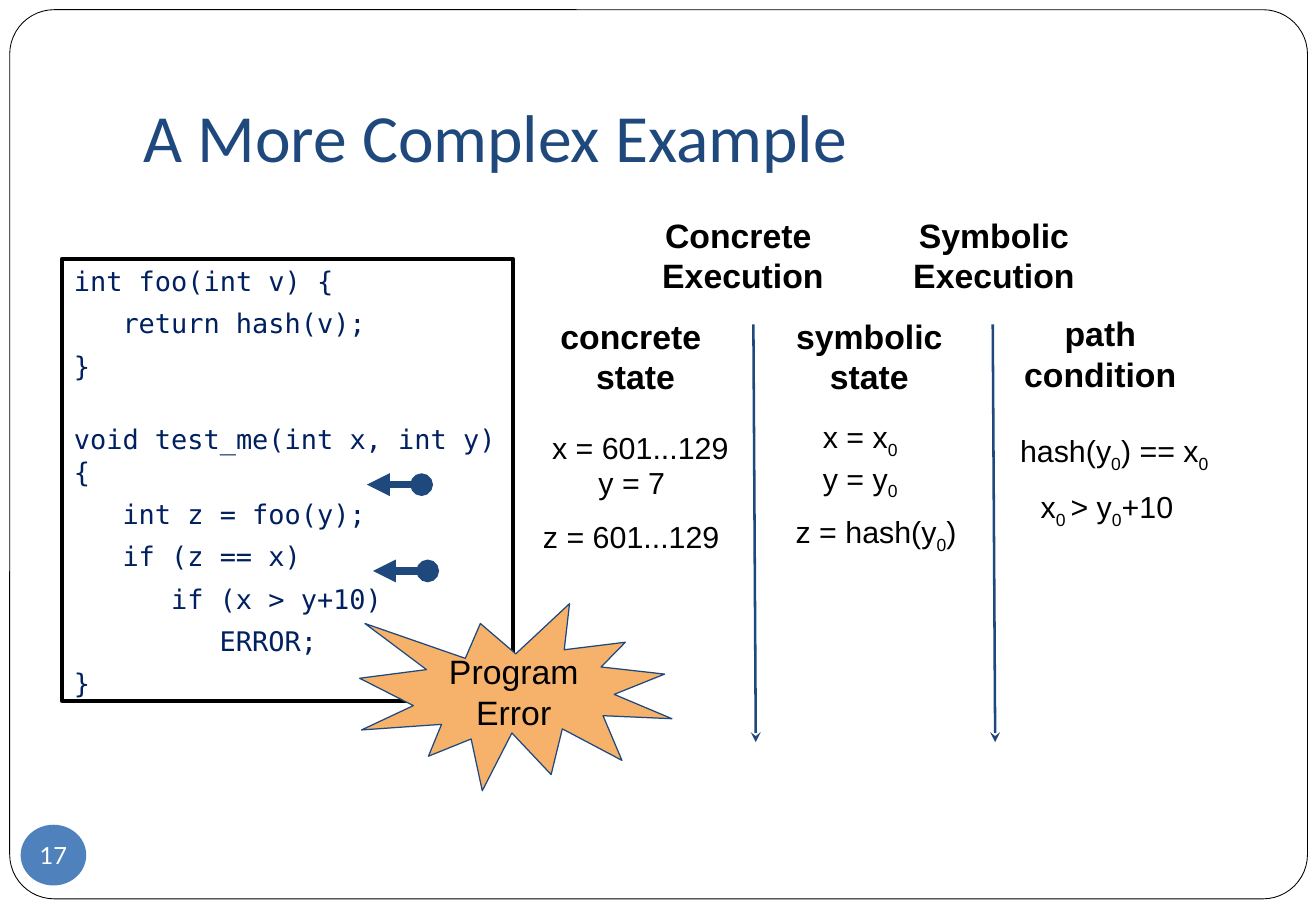
from dataclasses import dataclass

import pptx
import pptx.dml.color
import pptx.enum.shapes
import pptx.enum.text
import pptx.oxml
import pptx.oxml.ns
import pptx.util

ALIGN = pptx.enum.text.PP_ALIGN
ANCHOR = pptx.enum.text.MSO_ANCHOR
SHAPE = pptx.enum.shapes.MSO_SHAPE
CELL = pptx.util.Inches(0.1)  # one grid column or row
COLS, ROWS = 108.3, 75


@dataclass(frozen=True)
class Theme:
    navy: str = "1F497D"
    code: str = "002060"
    black: str = "000000"
    white: str = "FFFFFF"
    orange: str = "F6B26B"
    blue: str = "4F81BD"
    body_font: str = "Arial"
    title_font: str = "Calibri"
    code_font: str = "DejaVu Sans Mono"
    number_font: str = "Lato"
    title_size: float = 40
    heading_size: float = 20
    formula_size: float = 18
    code_size: float = 16
    number_size: float = 14


T = Theme()


@dataclass(frozen=True)
class Box:
    col: float
    row: float
    cols: float
    rows: float


@dataclass(frozen=True)
class Style:
    size: float
    font: str = T.body_font
    color: str = T.black
    bold: bool = False


@dataclass(frozen=True)
class Label:
    box: Box
    lines: tuple[str, ...]  # text between underscores is subscript
    anchor: ANCHOR = ANCHOR.TOP
    align: ALIGN = ALIGN.CENTER


@dataclass(frozen=True)
class Arrow:
    start: tuple[float, float]
    end: tuple[float, float]
    width: float
    tail: str
    head: str = "none"


@dataclass(frozen=True)
class CodeLine:
    text: str
    level: int = 0
    before: float = 5.9


TITLE = Style(T.title_size, T.title_font, T.navy)
HEADING = Style(T.heading_size, bold=True)
FORMULA = Style(T.formula_size)
CODE = Style(T.code_size, T.code_font, T.code)
BURST = Style(T.heading_size)
NUMBER = Style(T.number_size, T.number_font, T.white)

HEADINGS = (
    Label(Box(50.8, 17.6, 20.7, 6.8), ("Concrete ", "Execution"), ANCHOR.MIDDLE),
    Label(Box(71.9, 17.6, 19.8, 6.8), ("Symbolic", "Execution"), ANCHOR.MIDDLE),
    Label(Box(42.9, 25.9, 18.8, 6.8), ("concrete ", "state"), ANCHOR.MIDDLE),
    Label(Box(61.2, 25.9, 20.7, 6.8), ("symbolic", "state"), ANCHOR.MIDDLE),
    Label(Box(83.3, 25.7, 14.5, 6.8), ("path", "condition"), ANCHOR.MIDDLE),
)
FORMULAS = (
    Label(Box(43.7, 34.3, 18, 3.7), ("x = 601...129",)),
    Label(Box(43, 37.2, 18, 3.7), ("y = 7",)),
    Label(Box(43.7, 41.7, 18.2, 3.7), ("z = 601...129",), align=ALIGN.LEFT),
    Label(Box(62.6, 33.5, 16.4, 8.7), ("x = x_0_", "y = y_0_"), ANCHOR.MIDDLE),
    Label(Box(61.3, 41.8, 21.6, 4.3), ("z = hash(y_0_)",), ANCHOR.MIDDLE),
    Label(Box(82, 34.6, 19.4, 7), ("hash(y_0_) == x_0_",)),
    Label(Box(83.3, 39.2, 15.6, 5.3), ("x_0 _> y_0_+10",)),
)
DIVIDERS = tuple(Arrow((c, 26.7), (c + 0.2, 61.1), 1.5, "stealth") for c in (62, 81.7))
POINTERS = tuple(
    Arrow((c, r), (c - 4.5, r), 4.5, "triangle", "oval") for c, r in ((35.2, 47), (34.7, 39.9))
)
PROGRAM = (
    CodeLine("int foo(int v) {"),
    CodeLine("return hash(v);", 1),
    CodeLine("}"),
    CodeLine("void test_me(int x, int y) {", before=24.5),
    CodeLine("int z = foo(y);", 1),
    CodeLine("if (z == x)", 1),
    CodeLine("if (x > y+10)", 2),
    CodeLine("ERROR;", 3),
    CodeLine("}"),
)


def grid(n: float) -> int:
    return round(n * CELL)


def place(b: Box) -> tuple[int, int, int, int]:
    return grid(b.col), grid(b.row), grid(b.cols), grid(b.rows)


def rgb(color: str) -> pptx.dml.color.RGBColor:
    return pptx.dml.color.RGBColor.from_string(color)


def add_run(p, text: str, style: Style, subscript: bool = False) -> None:
    r = p.add_run()
    r.text = text
    r.font.name, r.font.size = style.font, pptx.util.Pt(style.size)
    r.font.bold, r.font.color.rgb = style.bold, rgb(style.color)
    if subscript:
        r._r.get_or_add_rPr().set("baseline", "-25000")


def set_frame(sp, anchor: ANCHOR, top: float = 0.5, bottom: float = 0.5,
              side: float = 1, wrap: bool = True):
    tf = sp.text_frame
    tf.word_wrap, tf.vertical_anchor = wrap, anchor
    tf.auto_size = pptx.enum.text.MSO_AUTO_SIZE.NONE
    tf.margin_left = tf.margin_right = grid(side)
    tf.margin_top, tf.margin_bottom = grid(top), grid(bottom)
    return tf


def fill_lines(tf, lines: tuple[str, ...], style: Style, align: ALIGN = ALIGN.CENTER) -> None:
    for i, line in enumerate(lines):
        p = tf.add_paragraph() if i else tf.paragraphs[0]
        p.alignment = align
        for j, part in enumerate(line.split("_")):
            if part:
                add_run(p, part, style, subscript=j % 2 == 1)


def add_label(s, label: Label, style: Style, inset: float) -> None:
    sp = s.shapes.add_textbox(*place(label.box))
    fill_lines(set_frame(sp, label.anchor, inset, inset), label.lines, style, label.align)


def add_shape(s, kind: SHAPE, box: Box, fill: str = "", line: str = "", width: float = 0):
    sp = s.shapes.add_shape(kind, *place(box))
    sp.shadow.inherit = False
    if fill:
        sp.fill.solid()
        sp.fill.fore_color.rgb = rgb(fill)
    else:
        sp.fill.background()
    if line:
        sp.line.color.rgb, sp.line.width = rgb(line), pptx.util.Pt(width)
    else:
        sp.line.fill.background()
    return sp


def add_arrow(s, a: Arrow) -> None:
    ends = [grid(n) for n in a.start + a.end]
    sp = s.shapes.add_connector(pptx.enum.shapes.MSO_CONNECTOR.STRAIGHT, *ends)
    sp.line.color.rgb, sp.line.width = rgb(T.navy), pptx.util.Pt(a.width)
    ln = sp.line._get_or_add_ln()
    for tag, kind in (("a:headEnd", a.head), ("a:tailEnd", a.tail)):
        end = pptx.oxml.ns.qn(tag)
        ln.append(ln.makeelement(end, {"type": kind}))
    sp._element.spPr.append(ln.makeelement(pptx.oxml.ns.qn("a:effectLst"), {}))


def add_program(s, box: Box) -> None:
    sp = add_shape(s, SHAPE.RECTANGLE, box, line=T.black, width=2.25)
    tf = set_frame(sp, ANCHOR.TOP)
    for i, line in enumerate(PROGRAM):
        p = tf.add_paragraph() if i else tf.paragraphs[0]
        p.alignment, p.space_before = ALIGN.LEFT, pptx.util.Pt(line.before)
        p._p.get_or_add_pPr().set("marL", str(grid(4 * line.level)))
        add_run(p, line.text, CODE)


def main() -> None:
    prs = pptx.Presentation()
    prs.slide_width, prs.slide_height = grid(COLS), grid(ROWS)
    s = prs.slides.add_slide(prs.slide_layouts[5])

    # Rounded frame, behind everything
    frame = add_shape(s, SHAPE.ROUNDED_RECTANGLE, Box(0.8, 0.8, 106.8, 73.2), T.white, T.black, 0.5)
    frame.adjustments[0] = 0.05
    s.shapes._spTree.insert(2, frame._element)

    # Title
    title = s.shapes.title
    title.left, title.top, title.width, title.height = place(Box(10.8, 3, 92.1, 12.5))
    fill_lines(set_frame(title, ANCHOR.BOTTOM, bottom=1), ("A More Complex Example",), TITLE, ALIGN.LEFT)

    # Execution columns
    for divider in DIVIDERS:
        add_arrow(s, divider)
    for label in HEADINGS:
        add_label(s, label, HEADING, 0.5)
    for label in FORMULAS:
        add_label(s, label, FORMULA, 1)

    # Program, error burst and pointers
    add_program(s, Box(5.1, 21.3, 37.1, 36.4))
    burst = add_shape(s, SHAPE.EXPLOSION1, Box(29.6, 49.7, 25.7, 15.4), T.orange, T.navy, 0.75)
    fill_lines(set_frame(burst, ANCHOR.MIDDLE, 1, 1), ("Program Error",), BURST)
    for pointer in POINTERS:
        add_arrow(s, pointer)

    # Slide number
    badge = add_shape(s, SHAPE.OVAL, Box(1.7, 67.9, 5.4, 5), T.blue)
    fill_lines(set_frame(badge, ANCHOR.MIDDLE, 0, 0, 0, wrap=False), ("17",), NUMBER)

    prs.save("out.pptx")


if __name__ == "__main__":
    main()
